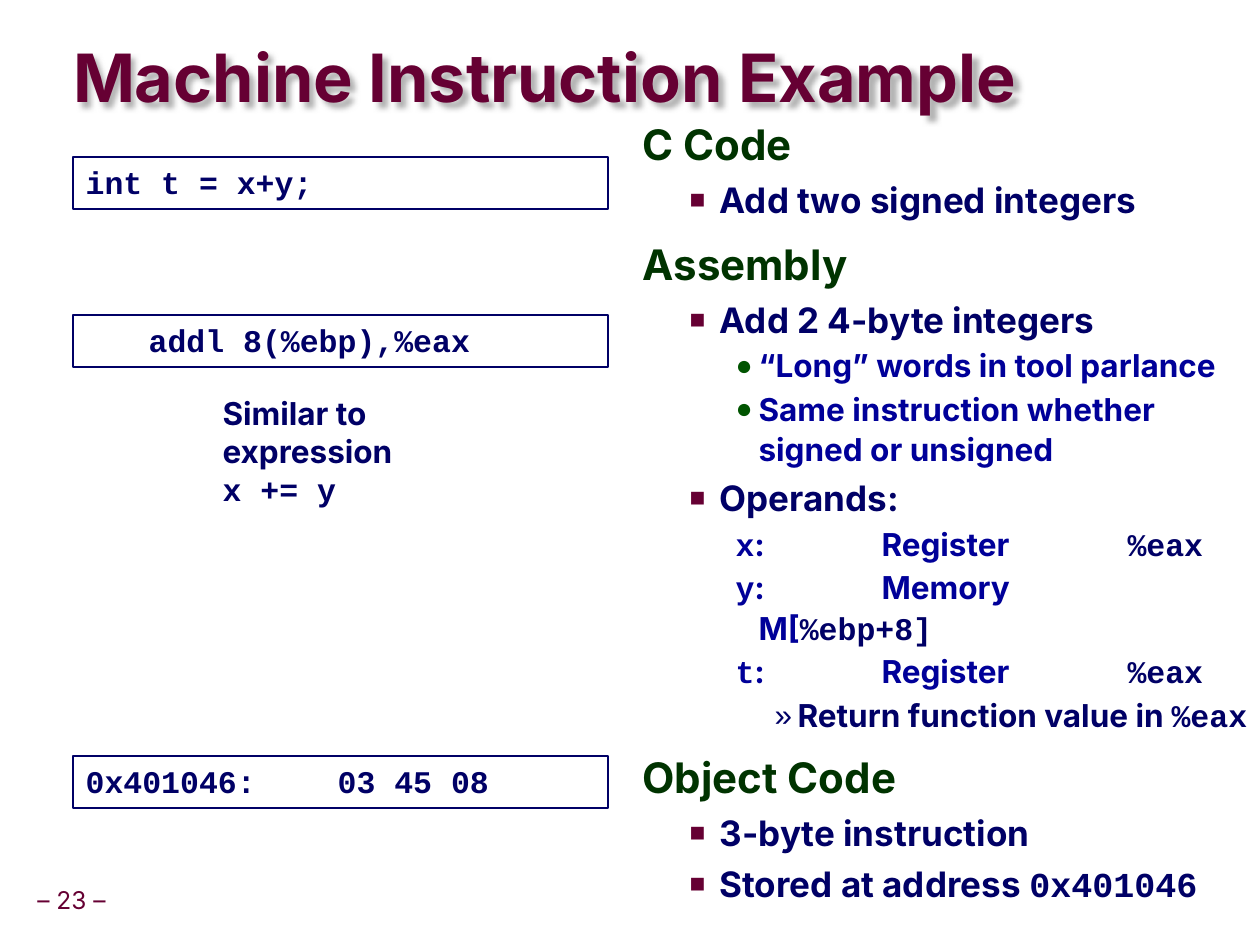
from lxml import etree
from pptx import Presentation
from pptx.dml.color import RGBColor
from pptx.enum.shapes import MSO_SHAPE
from pptx.enum.text import MSO_ANCHOR, MSO_AUTO_SIZE, PP_ALIGN
from pptx.oxml.ns import qn
from pptx.util import Pt

RECTANGLE = MSO_SHAPE.RECTANGLE
TOP, MIDDLE = MSO_ANCHOR.TOP, MSO_ANCHOR.MIDDLE
LEFT, CENTER = PP_ALIGN.LEFT, PP_ALIGN.CENTER
NO_FIT = MSO_AUTO_SIZE.NONE
SCALE = 914400 // 126
SANS, MONO = "Inter", "Courier New"
COLORS = {"wine": "660033", "green": "003300", "navy": "000066",
          "blue": "000099", "dot": "005400", "shadow": "808080"}

# Content: each outline line is a level and its pieces (text, font, color)
TITLE = "Machine Instruction Example"
PAGE_NUMBER = "– 23 –"
OUTLINE = [
    ("heading", ["C Code"]),
    ("point", ["Add two signed integers"]),
    ("heading", ["Assembly"]),
    ("point", ["Add 2 4-byte integers"]),
    ("detail", ["“Long” words in tool parlance"]),
    ("detail", ["Same instruction whether signed or unsigned"]),
    ("point", ["Operands:"]),
    ("operand", [("x", MONO), ":\tRegister\t", ("%eax", MONO, "navy")]),
    ("operand", [("y", MONO), ":\tMemory\tM[", ("%ebp+8]", MONO, "navy")]),
    ("operand", [("t", MONO), ":\tRegister\t", ("%eax", MONO, "navy")]),
    ("note", ["Return function value in ", ("%eax", MONO)]),
    ("heading", ["Object Code"]),
    ("point", ["3-byte instruction"]),
    ("point", ["Stored at address ", ("0x401046", MONO)]),
]
DETAIL = dict(depth=2, size=18, color="blue", margin=116, hang=23,
              spacing=1.07, before=10)
LEVELS = {
    "heading": dict(depth=0, size=24, color="green", margin=30, hang=30,
                    spacing=0.95, before=50),
    "point": dict(depth=1, size=20, color="navy", margin=77, hang=30,
                  before=25, bullet=("■", "wine", 75)),
    "detail": dict(DETAIL, bullet=("●", "dot", 90)),
    "operand": DETAIL,
    "note": dict(depth=3, size=18, color="navy", margin=155, hang=23,
                 before=20, bullet=("»", "navy", 100)),
}
# Top, text, tab step
CODE_BOXES = [
    (157, "int t = x+y;", None),
    (315, "\taddl 8(%ebp),%eax", 63),
    (756, "0x401046:\t03 45 08", 252),
]
CODE_LEFT, CODE_WIDTH, CODE_HEIGHT = 73, 535, 52


def px(*values):
    return [value * SCALE for value in values]


def rgb(name):
    return RGBColor.from_string(COLORS[name])


def add_xml(parent, tag, **attributes):
    return etree.SubElement(parent, qn(tag), {key: str(value) for key, value in attributes.items()})


def write(para, pieces, size=18, color="navy", bold=True, font=SANS, align=LEFT,
          depth=0, margin=0, hang=0, spacing=1.0, before=0, bullet=None,
          tab_step=None):
    para.level, para.alignment, para.line_spacing = depth, align, spacing
    props = para._p.get_or_add_pPr()
    props.set("marL", str(margin * SCALE))
    props.set("indent", str(-hang * SCALE))
    if tab_step:
        props.set("defTabSz", str(tab_step * SCALE))
    add_xml(add_xml(props, "a:spcBef"), "a:spcPct", val=before * 1000)
    if bullet:
        mark, mark_color, percent = bullet
        add_xml(add_xml(props, "a:buClr"), "a:srgbClr", val=COLORS[mark_color])
        add_xml(props, "a:buSzPct", val=percent * 1000)
        add_xml(props, "a:buChar", char=mark)
    else:
        add_xml(props, "a:buNone")
    for piece in pieces:
        text, *style = (piece,) if isinstance(piece, str) else piece
        span = para.add_run()
        span.text = text
        span.font.name = style[0] if style else font
        span.font.color.rgb = rgb(style[1] if len(style) > 1 else color)
        span.font.size, span.font.bold = Pt(size), bold


def set_frame(shape, anchor=TOP, wrap=True, margins=(12.6, 6.3)):
    frame = shape.text_frame
    frame.auto_size, frame.word_wrap, frame.vertical_anchor = NO_FIT, wrap, anchor
    side, edge = (int(value * SCALE) for value in margins)
    frame.margin_left = frame.margin_right = side
    frame.margin_top = frame.margin_bottom = edge
    return frame


def place(shape, *bounds):
    shape.left, shape.top, shape.width, shape.height = px(*bounds)


deck = Presentation()
deck.slide_width, deck.slide_height = px(1260, 945)
page = deck.slides.add_slide(deck.slide_layouts[1])
title, body = page.placeholders

# Page number
number = page.shapes.add_textbox(*px(30, 882, 83, 39))
write(set_frame(number, MIDDLE, False, (6.3, 6.3)).paragraphs[0], [PAGE_NUMBER],
      size=14, color="wine", bold=False, align=CENTER, spacing=0.9)

# Title with soft shadow
place(title, 73, 42, 1000, 79)
write(set_frame(title, MIDDLE, True, (0, 0)).paragraphs[0], [TITLE],
      size=38, color="wine", spacing=0.87)
effects = add_xml(title._element.spPr, "a:effectLst")
shadow = add_xml(effects, "a:outerShdw", blurRad=5 * SCALE, dist=6 * SCALE, dir=2700000)
add_xml(add_xml(shadow, "a:srgbClr", val=COLORS["shadow"]), "a:alpha", val=60000)

# Outline
place(body, 630, 116, 630, 756)
outline = set_frame(body)
for index, (level, pieces) in enumerate(OUTLINE):
    para = outline.add_paragraph() if index else outline.paragraphs[0]
    write(para, pieces, tab_step=123, **LEVELS[level])

# Code boxes
for top, code, tab_step in CODE_BOXES:
    box = page.shapes.add_shape(RECTANGLE, *px(CODE_LEFT, top, CODE_WIDTH, CODE_HEIGHT))
    box.shadow.inherit = False
    box.fill.background()
    box.line.color.rgb, box.line.width = rgb("navy"), Pt(1)
    write(set_frame(box).paragraphs[0], [code], font=MONO, tab_step=tab_step)

# Remark under the assembly box
remark = page.shapes.add_textbox(*px(210, 388, 210, 126))
write(set_frame(remark).paragraphs[0],
      ["Similar to expression", (" x += y", MONO)], before=50)

deck.save("out.pptx")
